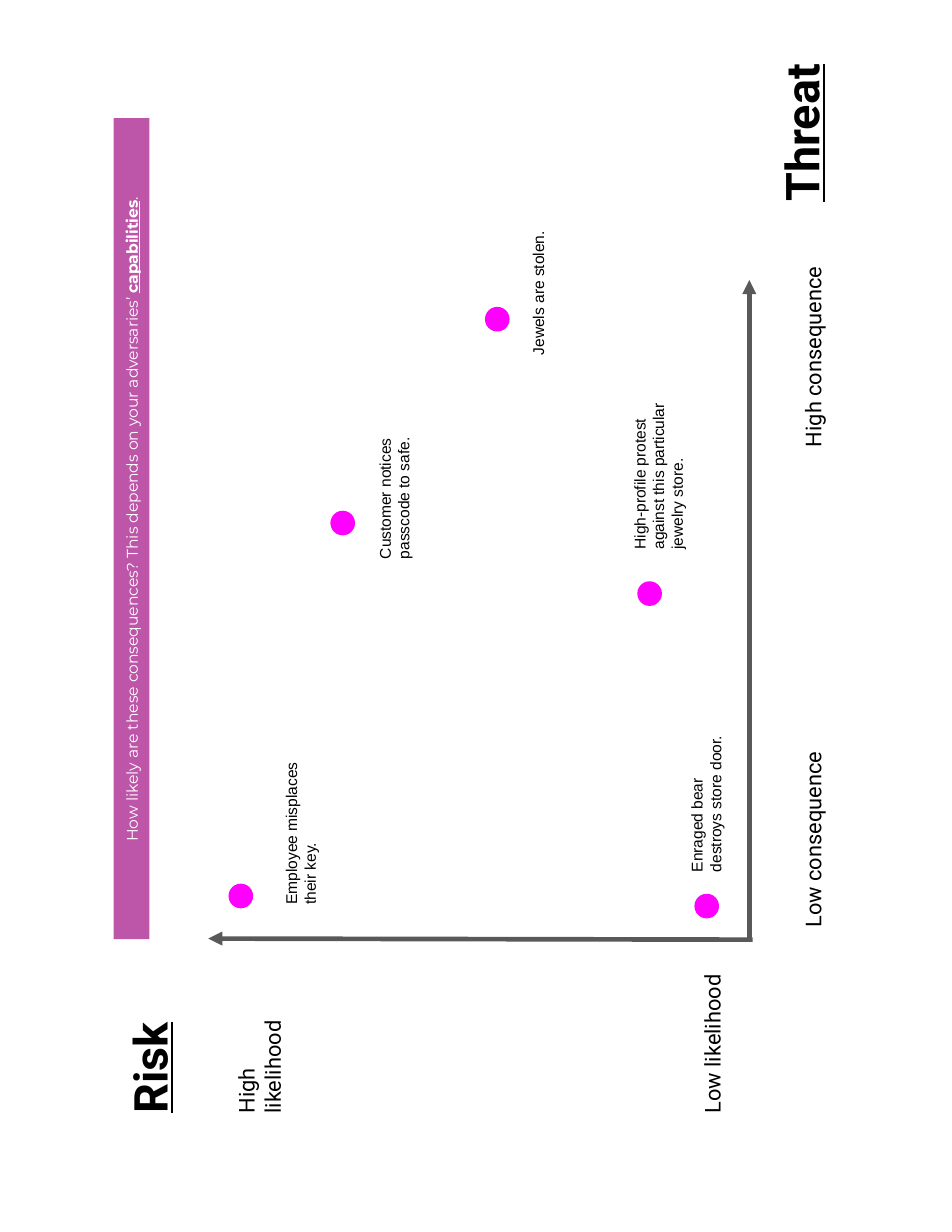
from dataclasses import dataclass

from lxml import etree
from pptx import Presentation
from pptx.dml.color import RGBColor
from pptx.enum.shapes import MSO_CONNECTOR, MSO_SHAPE
from pptx.enum.text import MSO_ANCHOR, MSO_AUTO_SIZE, PP_ALIGN
from pptx.oxml.ns import qn
from pptx.util import Emu, Pt

STRAIGHT = MSO_CONNECTOR.STRAIGHT
ELLIPSE, RECTANGLE = MSO_SHAPE.OVAL, MSO_SHAPE.RECTANGLE
TOP, MIDDLE = MSO_ANCHOR.TOP, MSO_ANCHOR.MIDDLE
LEFT = PP_ALIGN.LEFT
NO_AUTOFIT = MSO_AUTO_SIZE.NONE

EMU_PER_PX = 9144  # 100 px to the inch
QUARTER_TURN = 270
INSET = 10
DOT_SIZE = 22
TITLE_ONLY = 5


@dataclass(frozen=True)
class Style:
    font: str
    size: int
    color: RGBColor
    strong: bool = False  # bold and underlined


@dataclass(frozen=True)
class Theme:
    axis: RGBColor = RGBColor(0x59, 0x59, 0x59)
    dot: RGBColor = RGBColor(0xFF, 0x00, 0xFF)
    banner: RGBColor = RGBColor(0xBD, 0x55, 0xA9)
    axis_width: int = 3
    heading: Style = Style("Roboto", 30, RGBColor(0, 0, 0), True)
    scale: Style = Style("Roboto", 14, RGBColor(0, 0, 0))
    event: Style = Style("Arial", 10, RGBColor(0, 0, 0))
    question: Style = Style("Montserrat", 10, RGBColor(255, 255, 255))
    keyword: Style = Style("Montserrat", 10, RGBColor(255, 255, 255), True)
    stop: Style = Style("Montserrat", 10, RGBColor(255, 255, 255))


@dataclass(frozen=True)
class Frame:
    """Place of a shape before its quarter turn."""
    left: int
    top: int
    width: int = 145
    height: int = 41


@dataclass(frozen=True)
class Event:
    text: str
    dot: tuple[int, int]
    label: Frame


THEME = Theme()

EVENTS = [
    Event("Customer notices passcode to safe.", (295, 456), Frame(293, 396, 145, 81)),
    Event("Enraged bear destroys store door.", (620, 798), Frame(561, 686, 145, 60)),
    Event("Employee misplaces their key.", (204, 789), Frame(201, 696, 162, 81)),
    Event("High-profile protest against this particular jewelry store.",
          (569, 519), Frame(491, 379, 183, 60)),
    Event("Jewels are stolen.", (433, 274), Frame(411, 195, 183, 81)),
]


def px(value: int) -> Emu:
    return Emu(value * EMU_PER_PX)


def place(shape, frame: Frame) -> None:
    shape.left, shape.top = px(frame.left), px(frame.top)
    shape.width, shape.height = px(frame.width), px(frame.height)
    shape.rotation = QUARTER_TURN


def write(shape, spans: list[tuple[str, Style]], anchor=TOP, left_inset: int = INSET):
    """Fill a shape with one left-aligned paragraph and return it."""
    text_frame = shape.text_frame
    text_frame.word_wrap = True
    text_frame.auto_size = NO_AUTOFIT
    text_frame.vertical_anchor = anchor
    text_frame.margin_left = px(left_inset)
    text_frame.margin_top = text_frame.margin_right = text_frame.margin_bottom = px(INSET)
    paragraph = text_frame.paragraphs[0]
    paragraph.alignment = LEFT
    for text, style in spans:
        span = paragraph.add_run()
        span.text = text
        span.font.name, span.font.size = style.font, Pt(style.size)
        span.font.color.rgb = style.color
        span.font.bold = span.font.underline = style.strong
    return paragraph


def add_label(page, frame: Frame, text: str, style: Style, anchor=TOP):
    box = page.shapes.add_textbox(0, 0, 0, 0)
    place(box, frame)
    return write(box, [(text, style)], anchor)


def add_filled(page, kind, frame: Frame, color: RGBColor):
    shape = page.shapes.add_shape(kind, 0, 0, 0, 0)
    place(shape, frame)
    shape.shadow.inherit = False
    shape.fill.solid()
    shape.fill.fore_color.rgb = color
    shape.line.fill.background()
    return shape


def add_axis(page, start: tuple[int, int], end: tuple[int, int]) -> None:
    axis = page.shapes.add_connector(STRAIGHT, *map(px, start + end))
    axis.line.color.rgb = THEME.axis
    axis.line.width = Pt(THEME.axis_width)
    properties = axis.line._get_or_add_ln()
    etree.SubElement(properties, qn("a:tailEnd"), type="triangle")
    etree.SubElement(properties.getparent(), qn("a:effectLst"))


def add_tab_stop(paragraph, position: int) -> None:
    tabs = etree.SubElement(paragraph._p.get_or_add_pPr(), qn("a:tabLst"))
    etree.SubElement(tabs, qn("a:tab"), pos=str(px(position)), algn="l")


def main() -> None:
    deck = Presentation()
    deck.slide_width, deck.slide_height = px(850), px(1100)
    page = deck.slides.add_slide(deck.slide_layouts[TITLE_ONLY])

    # Axis headings
    title = page.shapes.title
    place(title, Frame(46, 911))
    write(title, [("Risk", THEME.heading)])
    add_label(page, Frame(628, 97), "Threat", THEME.heading)

    # Axes and their scales
    add_axis(page, (669, 838), (669, 250))
    add_axis(page, (672, 839), (186, 838))
    add_label(page, Frame(562, 911), "Low likelihood", THEME.scale)
    add_label(page, Frame(146, 911), "High likelihood", THEME.scale)
    consequences = add_label(page, Frame(353, 409, 745, 113),
                             "Low consequence\tHigh consequence", THEME.scale, MIDDLE)
    add_tab_stop(consequences, 429)

    # Events on the plane
    for event in EVENTS:
        add_filled(page, ELLIPSE, Frame(*event.dot, DOT_SIZE, DOT_SIZE), THEME.dot)
        add_label(page, event.label, event.text, THEME.event)

    # Question banner
    banner = add_filled(page, RECTANGLE, Frame(-249, 456, 733, 32), THEME.banner)
    write(banner, [
        ("How likely are these consequences? This depends on your adversaries’ ",
         THEME.question),
        ("capabilities", THEME.keyword),
        (".", THEME.stop),
    ], MIDDLE, left_inset=87)

    deck.save("out.pptx")


if __name__ == "__main__":
    main()
